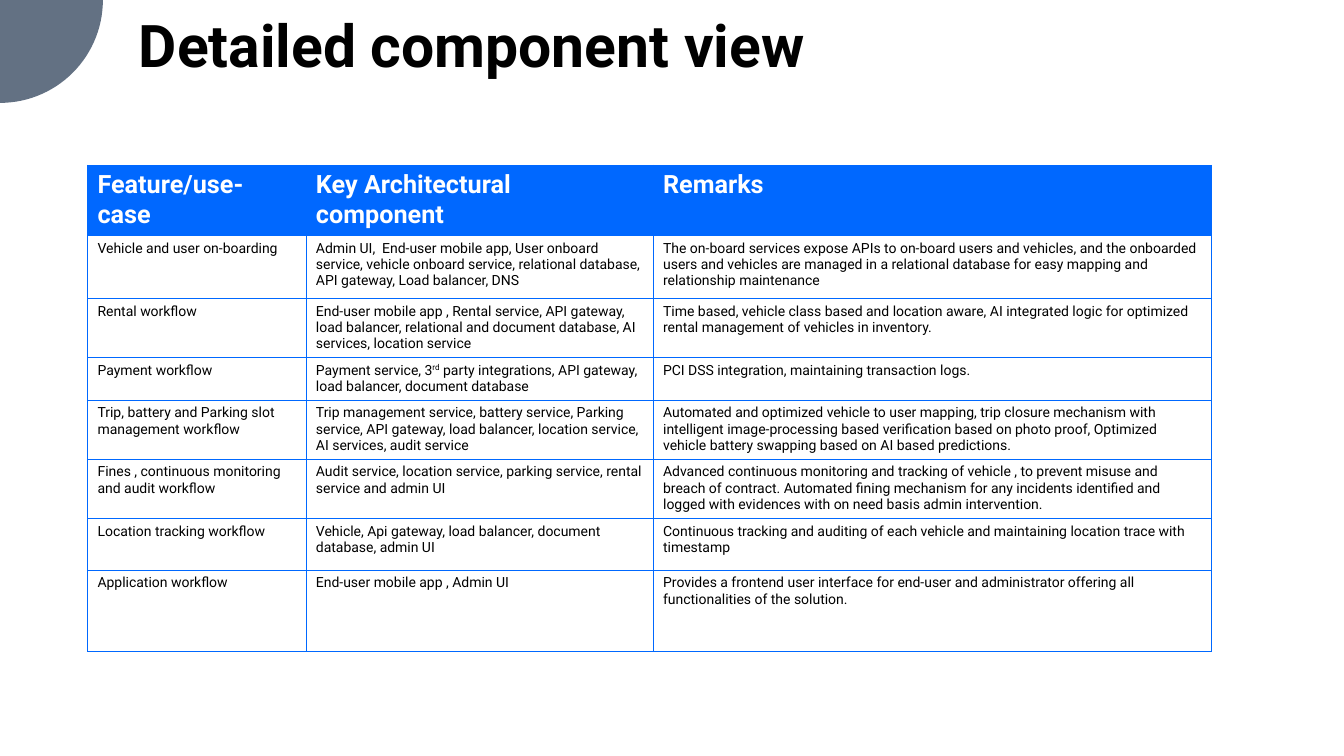
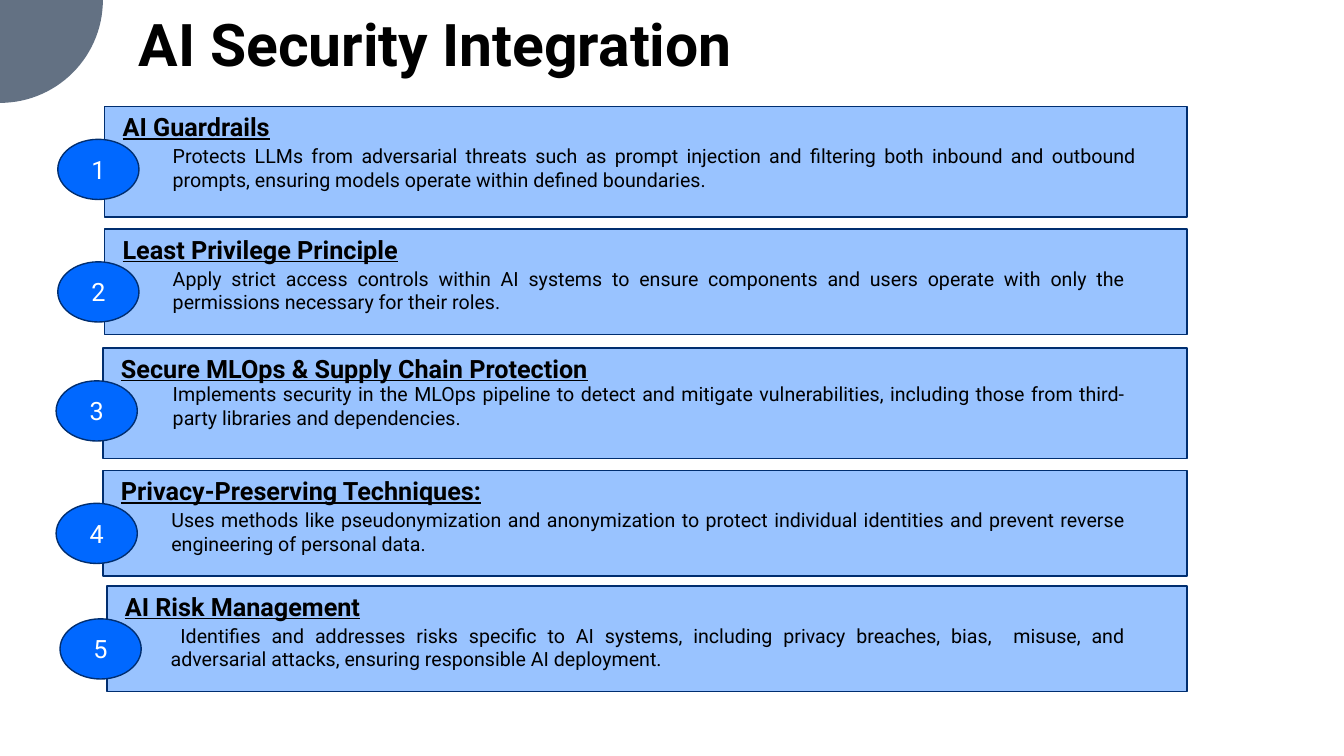
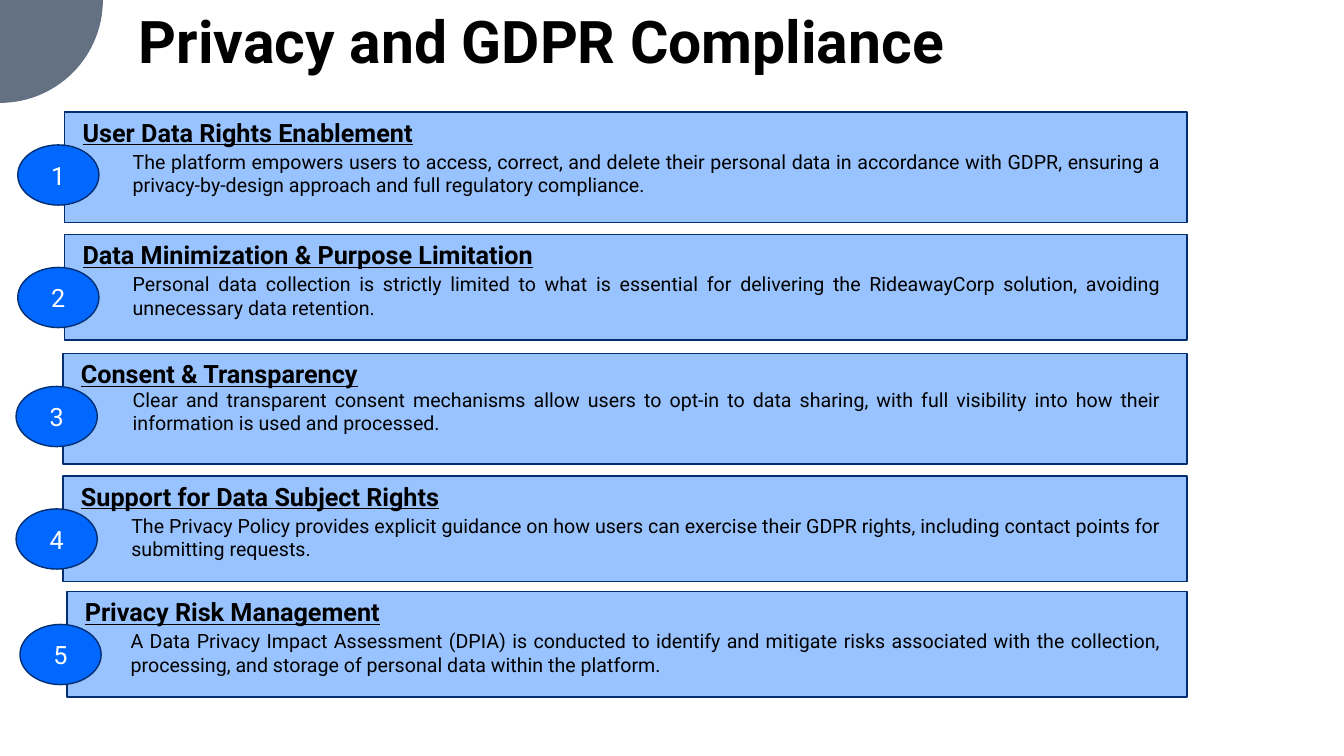
from math import cos, pi, sin

from lxml import etree
from pptx import Presentation
from pptx.dml.color import RGBColor
from pptx.enum.shapes import MSO_SHAPE
from pptx.enum.text import MSO_ANCHOR, MSO_AUTO_SIZE, PP_ALIGN
from pptx.oxml.ns import qn
from pptx.util import Pt

RECT, OVAL = MSO_SHAPE.RECTANGLE, MSO_SHAPE.OVAL
TOP, MIDDLE, BOTTOM = MSO_ANCHOR.TOP, MSO_ANCHOR.MIDDLE, MSO_ANCHOR.BOTTOM
LEFT, CENTER, JUSTIFY = PP_ALIGN.LEFT, PP_ALIGN.CENTER, PP_ALIGN.JUSTIFY
NO_FIT, GROW = MSO_AUTO_SIZE.NONE, MSO_AUTO_SIZE.SHAPE_TO_FIT_TEXT

BLACK = RGBColor(0x00, 0x00, 0x00)
WHITE = RGBColor(0xFF, 0xFF, 0xFF)
SLATE = RGBColor(0x63, 0x71, 0x83)
BLUE = RGBColor(0x00, 0x68, 0xFF)
NAVY = RGBColor(0x00, 0x2E, 0x70)
LIGHT_BLUE = RGBColor(0x99, 0xC3, 0xFF)

FONT = "Roboto"
CORNER_RADIUS = 73.5
CARD_RIGHT = 848
CARD_SLOTS = [
    (0, 79, 0, 41.5, 23.5),
    (87.5, 75.5, 0, 41.5, 23.5),
    (172.5, 79, -1.2, 41.5, 21),
    (260, 75.5, -1.2, 40.5, 23.5),
    (342.5, 75.5, 1.6, 40, 23.5),
]

COLUMNS = [156, 248, 399]
ROW_HEIGHTS = [50, 45, 41, 30, 41, 41, 37, 58]
COMPONENTS = [
    ("Feature/use-case", "Key Architectural component", "Remarks"),
    ("Vehicle and user on-boarding",
     "Admin UI,  End-user mobile app, User onboard service, vehicle onboard service, "
     "relational database, API gateway, Load balancer, DNS",
     "The on-board services expose APIs to on-board users and vehicles, and the onboarded "
     "users and vehicles are managed in a relational database for easy mapping and "
     "relationship maintenance"),
    ("Rental workflow",
     "End-user mobile app , Rental service, API gateway, load balancer, relational and "
     "document database, AI  services, location service",
     "Time based, vehicle class based and location aware, AI integrated logic for optimized "
     "rental management of vehicles in inventory."),
    ("Payment workflow",
     "Payment service, 3^rd^ party integrations, API gateway, load balancer, document database",
     "PCI DSS integration, maintaining transaction logs."),
    ("Trip, battery and Parking slot management workflow",
     "Trip management service, battery service, Parking service, API gateway, load balancer, "
     "location service, AI services, audit service",
     "Automated and optimized vehicle to user mapping, trip closure mechanism with "
     "intelligent image-processing based verification based on photo proof, Optimized "
     "vehicle battery swapping based on AI based predictions."),
    ("Fines , continuous monitoring and audit workflow",
     "Audit service, location service, parking service, rental service and admin UI",
     "Advanced continuous monitoring and tracking of vehicle , to prevent misuse and breach "
     "of contract. Automated fining mechanism for any incidents identified and logged with "
     "evidences with on need basis admin intervention."),
    ("Location tracking workflow",
     "Vehicle, Api gateway, load balancer, document database, admin UI",
     "Continuous tracking and auditing of each vehicle and maintaining location trace with "
     "timestamp"),
    ("Application workflow",
     "End-user mobile app , Admin UI",
     "Provides a frontend user interface for end-user and administrator offering all "
     "functionalities of the solution."),
]

SECURITY = [
    ("AI Guardrails", 819, 0,
     "Protects LLMs from adversarial threats such as prompt injection and filtering both "
     "inbound and outbound prompts, ensuring models operate within defined boundaries."),
    ("Least Privilege Principle", 811, 0,
     "Apply strict access controls within AI systems to ensure components and users operate "
     "with only the permissions necessary for their roles."),
    ("Secure MLOps & Supply Chain Protection", 811, 0,
     "Implements security in the MLOps pipeline to detect and mitigate vulnerabilities, "
     "including those from third-party libraries and dependencies."),
    ("Privacy-Preserving Techniques:", 811, 0,
     "Uses methods like pseudonymization and anonymization to protect individual identities "
     "and prevent reverse engineering of personal data."),
    ("AI Risk Management", 811, 7,
     "Identifies and addresses risks specific to AI systems, including privacy breaches, "
     "bias,  misuse, and adversarial attacks, ensuring responsible AI deployment."),
]

PRIVACY = [
    ("User Data Rights Enablement", 836.5, 0,
     "The platform empowers users to access, correct, and delete their personal data in "
     "accordance with GDPR, ensuring a privacy-by-design approach and full regulatory "
     "compliance."),
    ("Data Minimization & Purpose Limitation", 836.5, 0,
     "Personal data collection is strictly limited to what is essential for delivering the "
     "RideawayCorp solution, avoiding unnecessary data retention."),
    ("Consent & Transparency", 836.5, 0,
     "Clear and transparent consent mechanisms allow users to opt-in to data sharing, with "
     "full visibility into how their information is used and processed."),
    ("Support for Data Subject Rights", 836.5, 0,
     "The Privacy Policy provides explicit guidance on how users can exercise their GDPR "
     "rights, including contact points for submitting requests."),
    ("Privacy Risk Management", 836.5, 0,
     "A Data Privacy Impact Assessment (DPIA) is conducted to identify and mitigate risks "
     "associated with the collection, processing, and storage of personal data within the "
     "platform."),
]


class Deck:
    def __init__(self):
        self.prs = Presentation()
        self.prs.slide_width, self.prs.slide_height = Pt(960), Pt(540)
        self.s = None

    def slide(self, title, title_height):
        self.s = self.prs.slides.add_slide(self.prs.slide_layouts[5])
        self.corner()
        sp = self.s.shapes.title
        sp.left, sp.top, sp.width, sp.height = Pt(92), Pt(11), Pt(756), Pt(title_height)
        p = self.put_text(sp.text_frame, title, 42, bold=True, anchor=BOTTOM)
        p.line_spacing = 0.8
        sp.text_frame.auto_size = NO_FIT

    def put_text(self, tf, text, size, color=BLACK, bold=False, align=LEFT, anchor=TOP):
        tf.word_wrap = True
        tf.vertical_anchor = anchor
        p = tf.paragraphs[0]
        p.alignment = align
        for i, part in enumerate(text.split("^")):
            r = p.add_run()
            r.text = part
            if i % 2:
                r.font._element.set("baseline", "30000")
        f = p.font
        f.name, f.size, f.bold, f.color.rgb = FONT, Pt(size), bold, color
        return p

    def paint(self, sp, fill, line=None):
        sp.shadow.inherit = False
        sp.fill.solid()
        sp.fill.fore_color.rgb = fill
        if line is None:
            sp.line.fill.background()
        else:
            sp.line.color.rgb = line
            sp.line.width = Pt(1)

    def corner(self):
        steps = 30
        angles = [pi / 2 * i / steps for i in range(steps + 1)]
        arc = [(Pt(CORNER_RADIUS * cos(a)), Pt(CORNER_RADIUS * sin(a))) for a in angles]
        builder = self.s.shapes.build_freeform(0, 0)
        builder.add_line_segments(arc, close=True)
        self.paint(builder.convert_to_shape(), SLATE)

    def shape(self, kind, x, y, w, h, fill):
        sp = self.s.shapes.add_shape(kind, Pt(x), Pt(y), Pt(w), Pt(h))
        self.paint(sp, fill, NAVY)
        return sp

    def text(self, x, y, w, h, text, size, **style):
        tf = self.s.shapes.add_textbox(Pt(x), Pt(y), Pt(w), Pt(h)).text_frame
        p = self.put_text(tf, text, size, **style)
        tf.auto_size = GROW
        return p

    def card(self, number, x, y, h, body_dx, body_dy, heading, body_right, indent, body):
        self.shape(RECT, x, y, CARD_RIGHT - x, h, LIGHT_BLUE)
        badge = self.shape(OVAL, x - 33.5, y + 23.5, 58, 43, BLUE)
        self.put_text(badge.text_frame, str(number), 18, color=WHITE, align=CENTER, anchor=MIDDLE)
        p = self.text(x + 5.7, y, 420, 29, heading, 18, bold=True)
        p.font.underline = True
        body_x = x + body_dx
        p = self.text(body_x, y + body_dy, body_right - body_x, 41, body, 14, align=JUSTIFY)
        if indent:
            p._p.get_or_add_pPr().set("indent", str(Pt(indent)))

    def cards(self, left, top, items):
        for i, (slot, item) in enumerate(zip(CARD_SLOTS, items), 1):
            dy, h, dx, body_dx, body_dy = slot
            self.card(i, left + dx, top + dy, h, body_dx - dx, body_dy, *item)

    def border(self, cell):
        tcPr = cell._tc.get_or_add_tcPr()
        for i, side in enumerate(("a:lnL", "a:lnR", "a:lnT", "a:lnB")):
            ln = etree.Element(qn(side), w=str(Pt(0.5)))
            fill = etree.SubElement(ln, qn("a:solidFill"))
            etree.SubElement(fill, qn("a:srgbClr"), val=str(BLUE))
            tcPr.insert(i, ln)

    def table(self, x, y, widths, heights, rows):
        frame = self.s.shapes.add_table(
            len(rows), len(widths), Pt(x), Pt(y), Pt(sum(widths)), Pt(sum(heights)))
        table = frame.table
        table.horz_banding = False
        for column, width in zip(table.columns, widths):
            column.width = Pt(width)
        for i, (row, height, texts) in enumerate(zip(table.rows, heights, rows)):
            row.height = Pt(height)
            header = i == 0
            for cell, text in zip(row.cells, texts):
                cell.fill.solid()
                cell.fill.fore_color.rgb = BLUE if header else WHITE
                self.border(cell)
                self.put_text(cell.text_frame, text, 18 if header else 10,
                              color=WHITE if header else BLACK, bold=header)


def main():
    deck = Deck()
    deck.slide("Detailed component view", 49)
    deck.table(62.5, 118, COLUMNS, ROW_HEIGHTS, COMPONENTS)
    deck.slide("AI Security Integration", 48)
    deck.cards(74.8, 76, SECURITY)
    deck.slide("Privacy and GDPR Compliance", 46)
    deck.cards(46.2, 80, PRIVACY)
    deck.prs.save("out.pptx")


if __name__ == "__main__":
    main()
